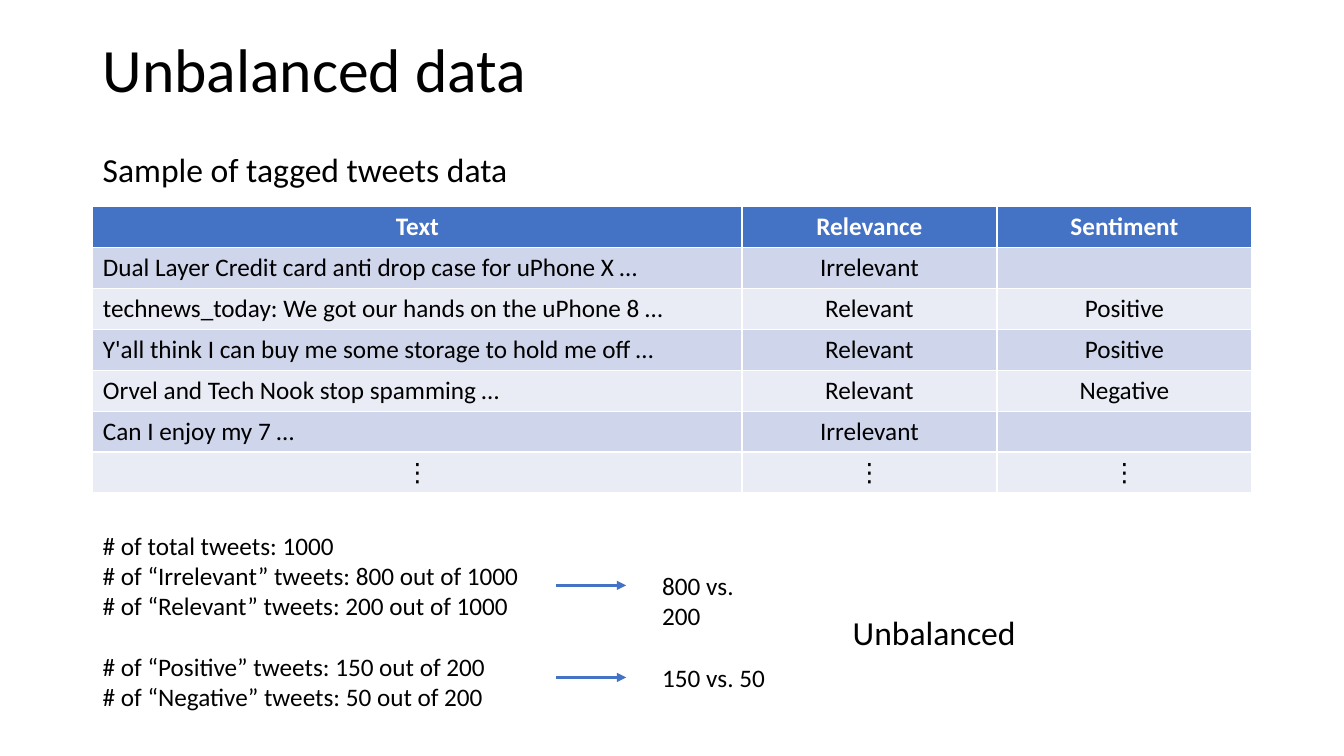
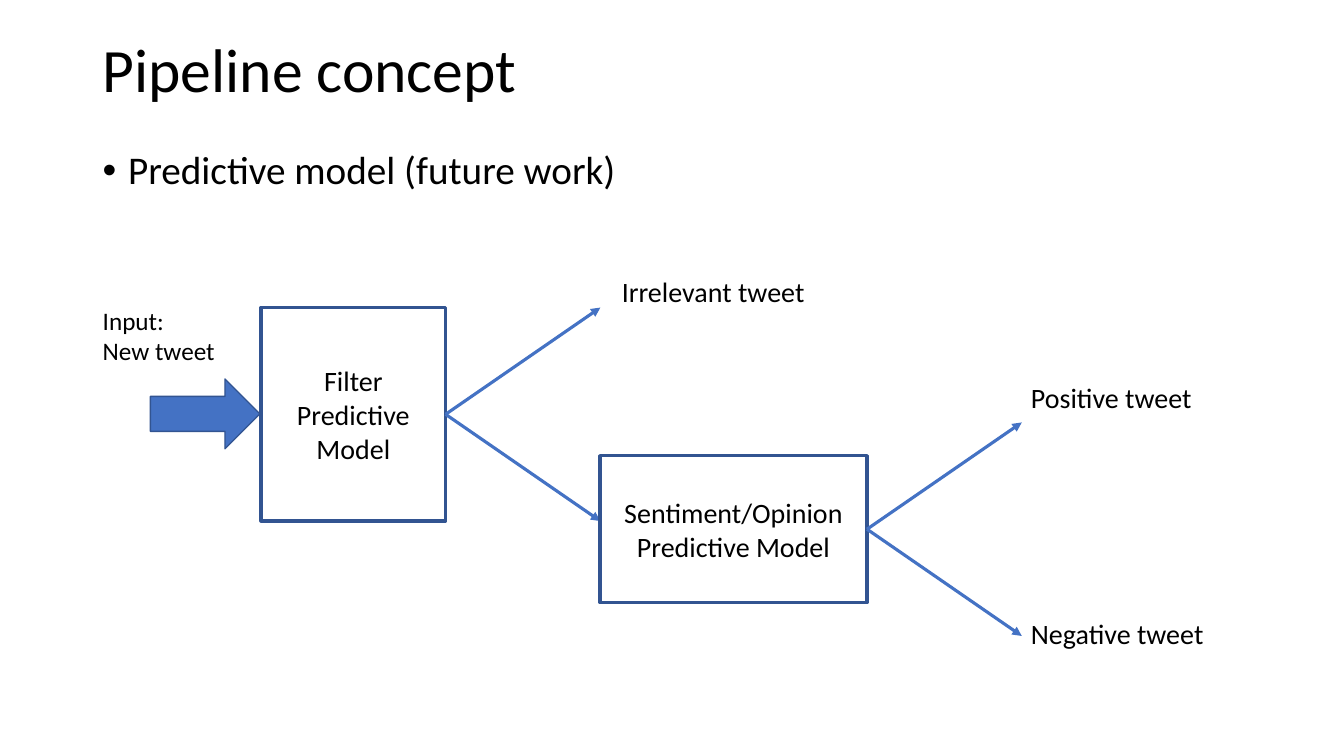
from lxml import etree
from pptx import Presentation
from pptx.dml.color import RGBColor
from pptx.enum import shapes, text
from pptx.oxml.ns import qn
from pptx.util import Cm, Pt

COLORS = {"ink": "000000", "white": "FFFFFF", "accent": "4472C4", "edge": "325491",
          "band_dark": "CFD5EA", "band_light": "E9EBF5"}
FONT = "Calibri"
LEFT, WIDTH = 2.34, 29.21
TITLE_BOX = (LEFT, 0, WIDTH, 3.68)
LINE_HEIGHT = 22

TWEETS = [
    ("Text", "Relevance", "Sentiment"),
    ("Dual Layer Credit card anti drop case for uPhone X …", "Irrelevant", ""),
    ("technews_today: We got our hands on the uPhone 8 …", "Relevant", "Positive"),
    ("Y'all think I can buy me some storage to hold me off …", "Relevant", "Positive"),
    ("Orvel and Tech Nook stop spamming …", "Relevant", "Negative"),
    ("Can I enjoy my 7 …", "Irrelevant", ""),
    ("⋮", "⋮", "⋮"),
]
COUNTS = ["# of total tweets: 1000",
          "# of “Irrelevant” tweets: 800 out of 1000",
          "# of “Relevant” tweets: 200 out of 1000",
          "# of “Positive” tweets: 150 out of 200",
          "# of “Negative” tweets: 50 out of 200"]
RATIOS = ["800 vs. 200", "150 vs. 50"]


def rgb(name):
    """Return the named colour."""
    return RGBColor.from_string(COLORS[name])


def apply(target, formats):
    """Set every attribute in the dict of format values."""
    for key, value in formats.items():
        setattr(target, key, value)


def write(frame, lines, size, color="ink", bold=False, **paragraph_formats):
    """Fill a text frame with one paragraph for each line."""
    for index, line in enumerate(lines):
        paragraph = frame.add_paragraph() if index else frame.paragraphs[0]
        apply(paragraph, paragraph_formats)
        run = paragraph.add_run()
        run.text = line
        apply(run.font, {"name": FONT, "size": Pt(size), "bold": bold})
        run.font.color.rgb = rgb(color)


def add_text(slide, box, lines, size, wrap=False, anchor=text.MSO_ANCHOR.TOP, **formats):
    """Add a text box and return its frame."""
    frame = slide.shapes.add_textbox(*map(Cm, box)).text_frame
    apply(frame, {"word_wrap": wrap, "vertical_anchor": anchor})
    write(frame, lines, size, **formats)
    return frame


def add_block(slide, kind, box, fill=None, weight=1):
    """Add an outlined preset shape, filled if a colour is given."""
    block = slide.shapes.add_shape(kind, *map(Cm, box))
    block.shadow.inherit = False
    if fill:
        block.fill.solid()
        block.fill.fore_color.rgb = rgb(fill)
    else:
        block.fill.background()
    block.line.color.rgb = rgb("edge")
    block.line.width = Pt(weight)
    return block


def add_arrow(slide, start, end):
    """Add a straight connector with an arrowhead at its end."""
    arrow = slide.shapes.add_connector(shapes.MSO_CONNECTOR.STRAIGHT, *start, *end)
    arrow.line.color.rgb = rgb("accent")
    arrow.line.width = Pt(2.25)
    properties = arrow.element.spPr
    etree.SubElement(properties.find(qn("a:ln")), qn("a:tailEnd"), type="triangle")
    etree.SubElement(properties, qn("a:effectLst"))
    return arrow


def add_titled_slide(deck, title):
    """Add a blank slide with the shared title."""
    slide = deck.slides.add_slide(deck.slide_layouts[6])
    add_text(slide, TITLE_BOX, [title], 44, wrap=True,
             anchor=text.MSO_ANCHOR.MIDDLE, line_spacing=0.9)
    return slide


def tweet_table(slide, box):
    """Place the table of tagged tweets in the box."""
    left, top, width, height = box
    table = slide.shapes.add_table(len(TWEETS), 3, *map(Cm, box)).table
    for column, share in zip(table.columns, (0.56, 0.22, 0.22)):
        column.width = Cm(width * share)
    for row_index, row in enumerate(TWEETS):
        table.rows[row_index].height = Cm(height / len(TWEETS))
        header = row_index == 0
        band = "accent" if header else "band_dark" if row_index % 2 else "band_light"
        for column_index, words in enumerate(row):
            cell = table.cell(row_index, column_index)
            cell.fill.solid()
            cell.fill.fore_color.rgb = rgb(band)
            cell.vertical_anchor = text.MSO_ANCHOR.MIDDLE
            quote = column_index == 0 and row_index not in (0, len(TWEETS) - 1)
            align = text.PP_ALIGN.LEFT if quote else text.PP_ALIGN.CENTER
            write(cell.text_frame, [words], 18, "white" if header else "ink",
                  header, alignment=align)


def class_counts(slide, box):
    """Place the counts, their ratios and the verdict in the box."""
    left, top, width, height = box
    counts = add_text(slide, (left, top, 12, height), COUNTS, 18, wrap=True)
    counts.paragraphs[3].space_before = Pt(LINE_HEIGHT)
    for index, ratio in enumerate(RATIOS):
        middle = top + 1.52 + index * 2.32
        add_arrow(slide, (Cm(left + 11.68), Cm(middle)), (Cm(left + 13.44), Cm(middle)))
        add_text(slide, (left + 14.1, middle - 0.5, 3.4, 1.02), [ratio], 18)
    add_text(slide, (left + 18.9, top + 2.06, 4.67, 1.27), ["Unbalanced"], 24)


def fork(slide, source, reach=3.9, rise=2.69):
    """Draw two arrows that part from the right side of the source."""
    x = source.left + source.width
    y = source.top + source.height // 2
    for direction in (-1, 1):
        arrow = add_arrow(slide, (x, y), (x + Cm(reach), y + Cm(direction * rise)))
        arrow.begin_connect(source, 3)


def pipeline(slide, box):
    """Place the two-stage model diagram in the box."""
    left, top = box[:2]

    def place(x, y, width, height):
        """Shift a part to its place in the box."""
        return left + x, top + y, width, height

    models = [((4.24, 0.97, 4.65, 5.38), ["Filter", "Predictive Model"]),
              ((12.78, 4.7, 6.73, 3.71), ["Sentiment/Opinion", "Predictive Model"])]
    for part, lines in models:
        model = add_block(slide, shapes.MSO_SHAPE.RECTANGLE, place(*part), weight=2.25)
        model.text_frame.word_wrap = True
        write(model.text_frame, lines, 20, alignment=text.PP_ALIGN.CENTER)
        fork(slide, model)

    outcomes = [((13.08, 0, 5.16, 1.12), "Irrelevant tweet"),
                ((23.39, 2.69, 4.62, 1.12), "Positive tweet"),
                ((23.39, 8.64, 4.9, 1.12), "Negative tweet")]
    for part, outcome in outcomes:
        add_text(slide, place(*part), [outcome], 20)

    add_block(slide, shapes.MSO_SHAPE.RIGHT_ARROW, place(1.45, 2.77, 2.76, 1.76), "accent")
    add_text(slide, place(0, 0.79, 3.38, 1.8), ["Input:", "New tweet"], 18)


def bullet_line(slide, box, line):
    """Place one bulleted line in the box."""
    frame = add_text(slide, box, [line], 28, wrap=True, line_spacing=0.9,
                     space_before=Pt(10))
    properties = frame.paragraphs[0]._p.get_or_add_pPr()
    properties.set("marL", str(Cm(0.64)))
    properties.set("indent", str(Cm(-0.64)))
    etree.SubElement(properties, qn("a:buFont"), typeface="Arial")
    etree.SubElement(properties, qn("a:buChar"), char="•")


def unbalanced_slide(deck):
    """Build the slide on unbalanced data."""
    slide = add_titled_slide(deck, "Unbalanced data")
    add_text(slide, (LEFT, 3.63, 10.8, 1.27), ["Sample of tagged tweets data"], 24)
    tweet_table(slide, (LEFT, 5.21, WIDTH, 7.21))
    class_counts(slide, (LEFT, 13.23, WIDTH, 4.88))


def pipeline_slide(deck):
    """Build the slide on the pipeline concept."""
    slide = add_titled_slide(deck, "Pipeline concept")
    bullet_line(slide, (LEFT, 3.68, WIDTH, 1.6), "Predictive model (future work)")
    pipeline(slide, (LEFT, 6.78, WIDTH, 9.76))


def main():
    """Build and save the deck."""
    deck = Presentation()
    apply(deck, {"slide_width": Cm(33.87), "slide_height": Cm(19.05)})
    unbalanced_slide(deck)
    pipeline_slide(deck)
    deck.save("out.pptx")


if __name__ == "__main__":
    main()
